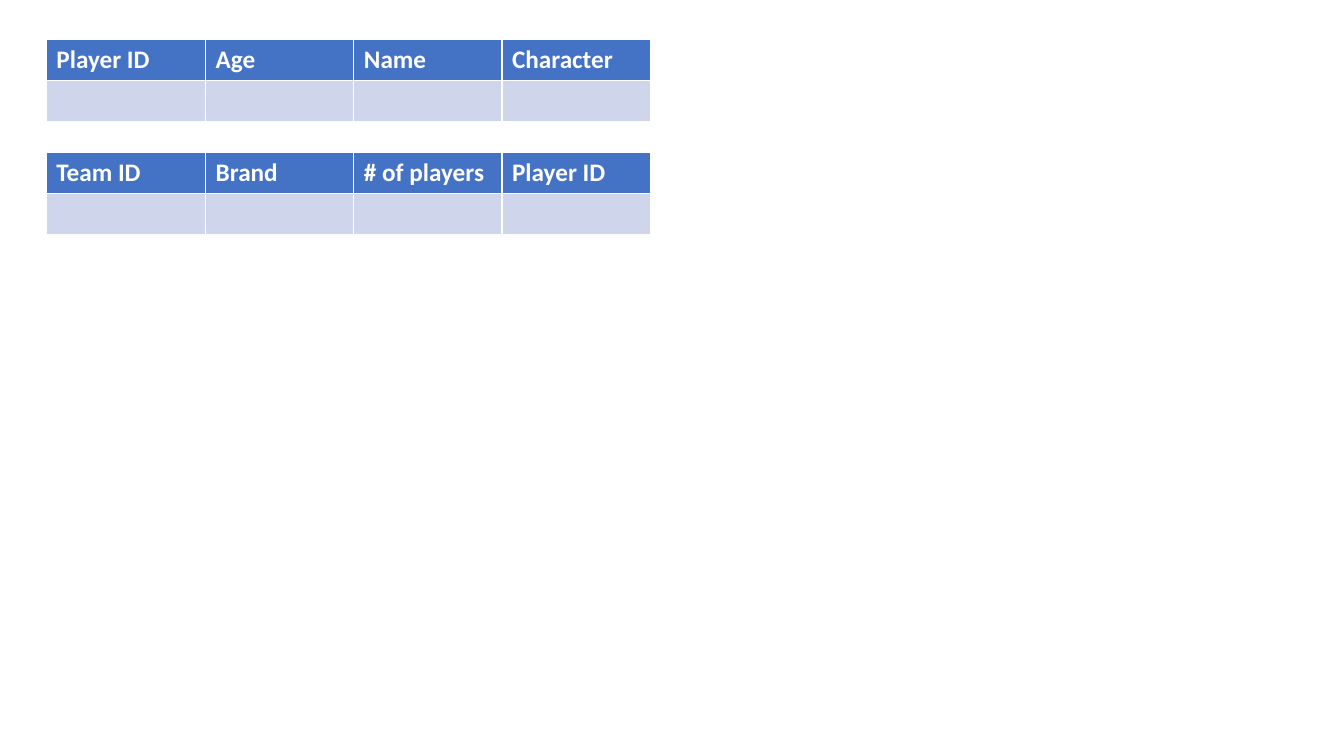
"""Build a slide with the player and team record tables."""
import dataclasses

import pptx
import pptx.dml.color
import pptx.slide
import pptx.util

Inches = pptx.util.Inches

HEADER_FILL = "4472C4"
BODY_FILL = "CFD5EA"
HEADER_TEXT = "FFFFFF"
FONT_NAME = "Calibri"
TABLE_LEFT = 0.46
COLUMN_WIDTHS = (1.58, 1.47, 1.47, 1.47)
ROW_HEIGHT = 0.41
ROW_COUNT = 2


@dataclasses.dataclass(frozen=True)
class RecordTable:
    top: float
    headings: tuple[str, ...]


RECORD_TABLES = (
    RecordTable(0.39, ("Player ID", "Age", "Name", "Character")),
    RecordTable(1.51, ("Team ID", "Brand", "# of players", "Player ID")),
)


def color(value: str) -> pptx.dml.color.RGBColor:
    return pptx.dml.color.RGBColor.from_string(value)


def draw_table(slide: pptx.slide.Slide, record: RecordTable) -> None:
    table = slide.shapes.add_table(
        ROW_COUNT,
        len(record.headings),
        Inches(TABLE_LEFT),
        Inches(record.top),
        Inches(sum(COLUMN_WIDTHS)),
        Inches(ROW_HEIGHT * ROW_COUNT),
    ).table
    table.horz_banding = False
    for row in table.rows:
        row.height = Inches(ROW_HEIGHT)
    for index, (heading, width) in enumerate(zip(record.headings, COLUMN_WIDTHS)):
        table.columns[index].width = Inches(width)
        for row_index, fill in enumerate((HEADER_FILL, BODY_FILL)):
            cell = table.cell(row_index, index)
            cell.fill.solid()
            cell.fill.fore_color.rgb = color(fill)
        run = table.cell(0, index).text_frame.paragraphs[0].add_run()
        run.text = heading
        run.font.name = FONT_NAME
        run.font.size = pptx.util.Pt(18)
        run.font.bold = True
        run.font.color.rgb = color(HEADER_TEXT)


def main() -> None:
    presentation = pptx.Presentation()
    presentation.slide_width = Inches(13.33)
    presentation.slide_height = Inches(7.5)
    slide = presentation.slides.add_slide(presentation.slide_layouts[6])
    for record in RECORD_TABLES:
        draw_table(slide, record)
    presentation.save("out.pptx")


if __name__ == "__main__":
    main()
